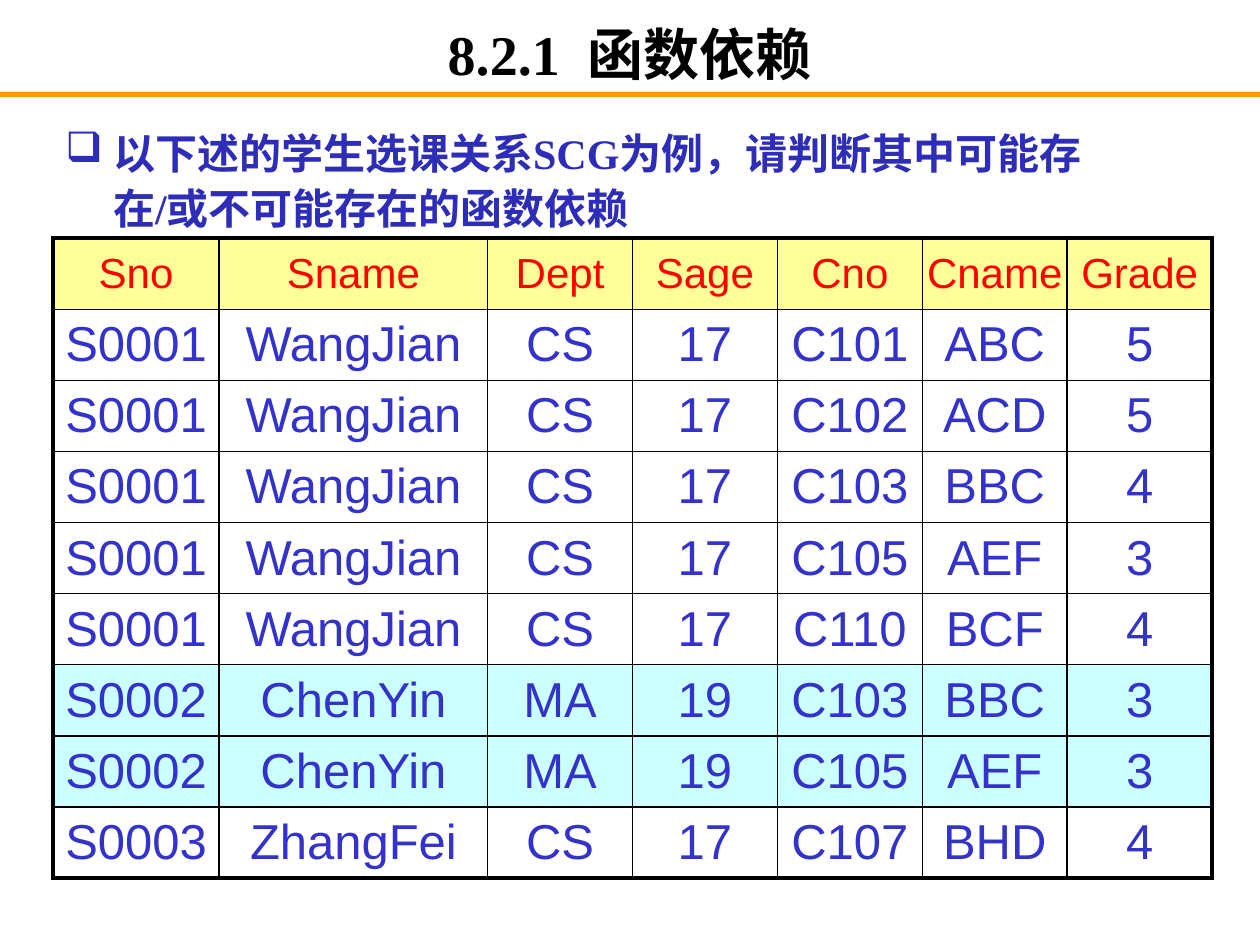
from lxml import etree
from pptx import Presentation
from pptx.dml.color import RGBColor
from pptx.enum.text import MSO_ANCHOR, PP_ALIGN
from pptx.oxml.ns import qn
from pptx.util import Inches, Pt

HEAD = "Sno Sname Dept Sage Cno Cname Grade".split()
WANG = ["S0001", "WangJian", "CS", "17"]
CHEN = ["S0002", "ChenYin", "MA", "19"]
ZHANG = ["S0003", "ZhangFei", "CS", "17"]
ROWS = [
    HEAD,
    WANG + ["C101", "ABC", "5"],
    WANG + ["C102", "ACD", "5"],
    WANG + ["C103", "BBC", "4"],
    WANG + ["C105", "AEF", "3"],
    WANG + ["C110", "BCF", "4"],
    CHEN + ["C103", "BBC", "3"],
    CHEN + ["C105", "AEF", "3"],
    ZHANG + ["C107", "BHD", "4"],
]
WIDTHS = [1.32, 2.13] + [1.15] * 5
SERIF = "Times New Roman"


def color(code):
    return RGBColor.from_string(code)


def apply(item, values):
    for name, value in values.items():
        setattr(item, name, value)


def write(para, text, code, **values):
    run = para.add_run()
    run.text = text
    apply(run.font, values)
    run.font.color.rgb = color(code)


def add_box(slide, box, **values):
    frame = slide.shapes.add_textbox(*map(Inches, box)).text_frame
    apply(frame, {"word_wrap": True, **values})
    return frame


def add_title(slide, box):
    frame = add_box(slide, box, margin_top=0, margin_bottom=0,
                    vertical_anchor=MSO_ANCHOR.MIDDLE)
    para = frame.paragraphs[0]
    para.alignment = PP_ALIGN.CENTER
    write(para, "8.2.1  函数依赖", "000000", name=SERIF, size=Pt(32), bold=True)


def add_rule(slide, left, top, width):
    line = slide.shapes.add_connector(
        1, Inches(left), Inches(top), Inches(left + width), Inches(top))
    line.line.color.rgb = color("FF9900")
    line.line.width = Pt(3)
    etree.SubElement(line._element.spPr, qn("a:effectLst"))


def add_body(slide, box):
    para = add_box(slide, box, margin_right=Inches(0.6)).paragraphs[0]
    para.line_spacing = 1.1
    props = para._p.get_or_add_pPr()
    props.set("marL", str(Inches(0.38)))
    props.set("indent", str(-Inches(0.38)))
    etree.SubElement(props, qn("a:buChar"), char="❑")
    write(para, "以下述的学生选课关系SCG为例，请判断其中可能存在/或不可能存在的函数依赖",
          "2D2DB7", name=SERIF, size=Pt(24), bold=True)


def add_edge(cell, side, width):
    props = cell._tc.get_or_add_tcPr()
    edge = etree.SubElement(props, qn("a:ln" + side), w=str(Pt(width)))
    fill = etree.SubElement(edge, qn("a:solidFill"))
    etree.SubElement(fill, qn("a:srgbClr"), val="000000")


def fill_cell(cell, text, size, ink, back, outer):
    apply(cell, {"margin_left": 0, "margin_right": 0, "margin_top": 0,
                 "margin_bottom": 0, "vertical_anchor": MSO_ANCHOR.MIDDLE})
    for side, thick in outer.items():
        add_edge(cell, side, 2.25 if thick else 1)
    if back:
        cell.fill.solid()
        cell.fill.fore_color.rgb = color(back)
    else:
        cell.fill.background()
    para = cell.text_frame.paragraphs[0]
    para.alignment = PP_ALIGN.CENTER
    write(para, text, ink, name="Arial", size=Pt(size))


def add_grid(slide, box):
    frame = slide.shapes.add_table(len(ROWS), len(HEAD), *map(Inches, box))
    table = frame.table
    apply(table, {"first_row": False, "horz_banding": False})
    for col, width in zip(table.columns, WIDTHS):
        col.width = Inches(width)
    for r, row in enumerate(ROWS):
        size, ink = (24, "FF0000") if r == 0 else (28, "3333CC")
        back = "FFFF99" if r == 0 else "CCFFFF" if row[0] == "S0002" else None
        for c, text in enumerate(row):
            outer = {"L": c == 0, "R": c == len(HEAD) - 1,
                     "T": r == 0, "B": r == len(ROWS) - 1}
            fill_cell(table.cell(r, c), text, size, ink, back, outer)


def main():
    deck = Presentation()
    apply(deck, {"slide_width": Inches(10), "slide_height": Inches(7.5)})
    slide = deck.slides.add_slide(deck.slide_layouts[6])
    add_rule(slide, 0, 0.75, 10)
    add_title(slide, (0.75, 0.17, 8.5, 0.5))
    add_body(slide, (0.42, 0.92, 9.17, 6.08))
    add_grid(slide, (0.42, 1.89, 9.2, 5.08))
    deck.save("out.pptx")


if __name__ == "__main__":
    main()
